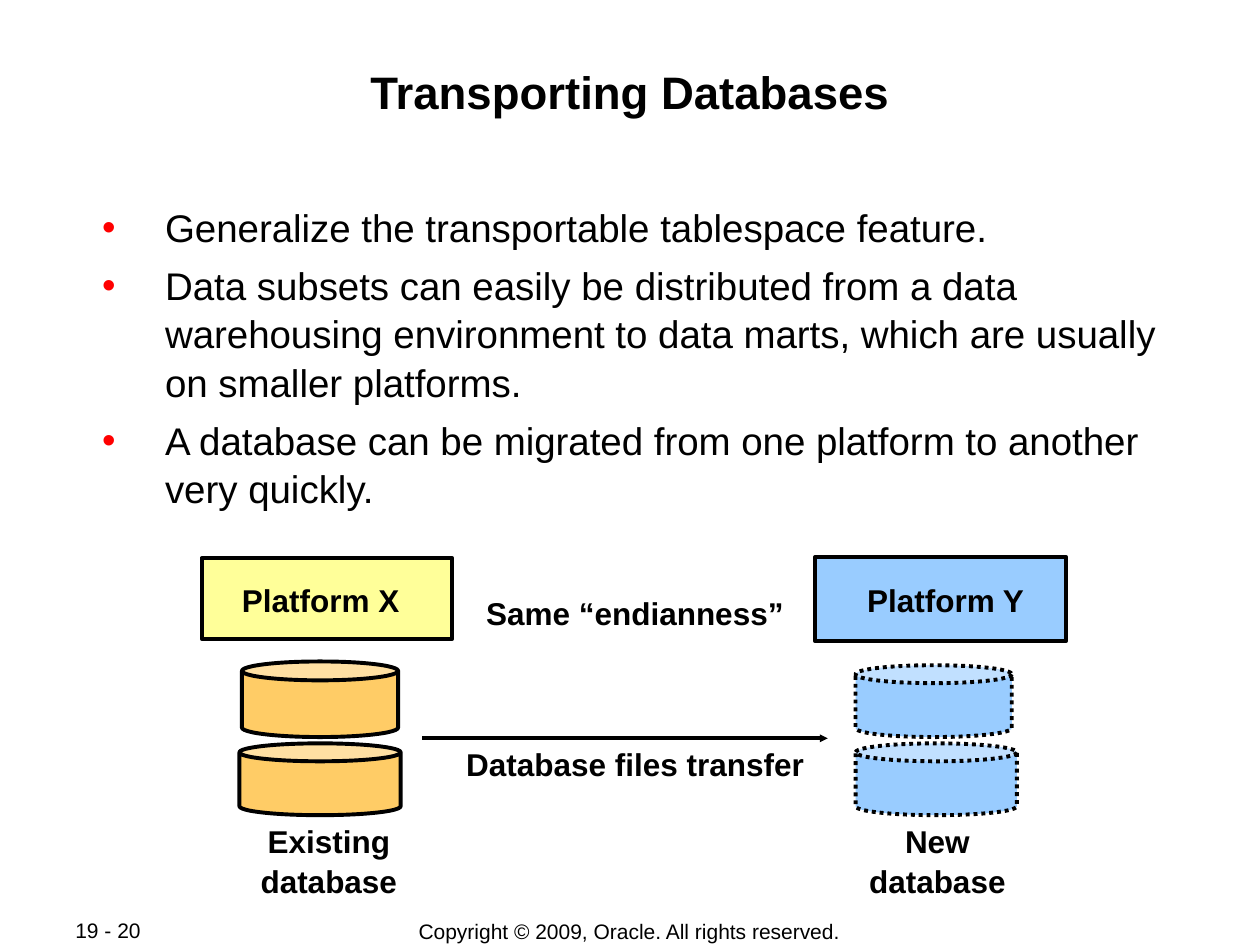
from typing import NamedTuple, Optional

from lxml.etree import SubElement
from pptx import Presentation
from pptx.dml.color import RGBColor
from pptx.enum.dml import MSO_LINE_DASH_STYLE as Dash
from pptx.enum.shapes import MSO_CONNECTOR as Connector, MSO_SHAPE as Preset
from pptx.enum.text import MSO_ANCHOR as Anchor, MSO_AUTO_SIZE as AutoSize, PP_ALIGN as Align
from pptx.oxml.ns import qn
from pptx.util import Inches, Pt

BLACK = RGBColor(0x00, 0x00, 0x00)
RED = RGBColor(0xFF, 0x00, 0x00)
YELLOW = RGBColor(0xFF, 0xFF, 0x99)
BLUE = RGBColor(0x99, 0xCC, 0xFF)
ORANGE = RGBColor(0xFF, 0xCC, 0x66)
FONT = "Arial"
LINE_WIDTH = Pt(2.25)
LINE_SPACING = 1.05


class Area(NamedTuple):
    left: float
    top: float
    width: float
    height: float


class Block(NamedTuple):
    preset: Preset
    area: Area
    fill: RGBColor
    dash: Optional[Dash] = None


class Label(NamedTuple):
    text: str
    area: Area
    size: int = 18
    bold: bool = True
    align: Align = Align.CENTER
    anchor: Anchor = Anchor.TOP


BULLETS = [
    "Generalize the transportable tablespace feature.",
    "Data subsets can easily be distributed from a data warehousing environment "
    "to data marts, which are usually on smaller platforms.",
    "A database can be migrated from one platform to another very quickly.",
]

BLOCKS = [
    Block(Preset.RECTANGLE, Area(1.6, 4.43, 1.99, 0.64), YELLOW),
    Block(Preset.RECTANGLE, Area(6.47, 4.42, 1.99, 0.67), BLUE),
    Block(Preset.CAN, Area(1.92, 5.25, 1.24, 0.6), ORANGE),
    Block(Preset.CAN, Area(1.9, 5.9, 1.28, 0.57), ORANGE),
    Block(Preset.CAN, Area(6.79, 5.28, 1.24, 0.57), BLUE, Dash.ROUND_DOT),
    Block(Preset.CAN, Area(6.79, 5.9, 1.28, 0.57), BLUE, Dash.ROUND_DOT),
]

LABELS = [
    Label("Platform X", Area(1.82, 4.55, 1.45, 0.4)),
    Label("Platform Y", Area(6.78, 4.55, 1.45, 0.4)),
    Label("Same “endianness”", Area(3.76, 4.65, 2.56, 0.4)),
    Label("Database files transfer", Area(3.6, 5.85, 2.88, 0.4)),
    Label("Existing database", Area(1.45, 6.46, 2.32, 0.4)),
    Label("New database", Area(6.51, 6.46, 1.86, 0.4)),
    Label("Copyright © 2009, Oracle. All rights reserved.",
          Area(2.75, 7.28, 4.49, 0.21), 12, False, anchor=Anchor.MIDDLE),
    Label("19 - 20", Area(0.5, 7.28, 1.06, 0.2), 12, False, Align.LEFT, Anchor.MIDDLE),
]


def inches(area: Area) -> list:
    return [Inches(value) for value in area]


def write(para, text: str, size: int, bold: bool, align: Align) -> None:
    para.alignment = align
    para.line_spacing = LINE_SPACING
    span = para.add_run()
    span.text = text
    span.font.name = FONT
    span.font.size = Pt(size)
    span.font.bold = bold
    span.font.color.rgb = BLACK


def prepare_placeholder(box, area: Area):
    """Move a placeholder, tighten its margins and return its text frame."""
    box.left, box.top, box.width, box.height = inches(area)
    frame = box.text_frame
    frame.auto_size = AutoSize.NONE
    frame.word_wrap = True
    frame.vertical_anchor = Anchor.TOP
    frame.margin_left = frame.margin_right = Inches(0.01)
    frame.margin_top = frame.margin_bottom = Inches(0.01)
    return frame


def add_bullet(para) -> None:
    properties = para._p.get_or_add_pPr()
    properties.set("marL", str(Inches(0.63)))
    properties.set("indent", str(Inches(-0.5)))
    color = SubElement(properties, qn("a:buClr"))
    SubElement(color, qn("a:srgbClr")).set("val", str(RED))
    SubElement(properties, qn("a:buFont")).set("typeface", FONT)
    SubElement(properties, qn("a:buChar")).set("char", "•")


def fill_body(box) -> None:
    frame = prepare_placeholder(box, Area(0.67, 1.59, 8.66, 2.38))
    for index, text in enumerate(BULLETS):
        para = frame.add_paragraph() if index else frame.paragraphs[0]
        para.level = 1
        add_bullet(para)
        para.space_before = Pt(5.5 if index else 0)
        write(para, text, 22, False, Align.LEFT)


def draw_block(page, block: Block) -> None:
    shape = page.shapes.add_shape(block.preset, *inches(block.area))
    shape.shadow.inherit = False
    shape.fill.solid()
    shape.fill.fore_color.rgb = block.fill
    shape.line.color.rgb = BLACK
    shape.line.width = LINE_WIDTH
    if block.dash is not None:
        shape.line.dash_style = block.dash


def draw_label(page, label: Label) -> None:
    frame = page.shapes.add_textbox(*inches(label.area)).text_frame
    frame.word_wrap = False
    frame.vertical_anchor = label.anchor
    write(frame.paragraphs[0], label.text, label.size, label.bold, label.align)


def draw_transfer_arrow(page) -> None:
    height = Inches(5.86)
    arrow = page.shapes.add_connector(
        Connector.STRAIGHT, Inches(3.35), height, Inches(6.57), height)
    arrow.line.color.rgb = BLACK
    arrow.line.width = LINE_WIDTH
    head = SubElement(arrow.line._get_or_add_ln(), qn("a:tailEnd"))
    for key, value in (("type", "triangle"), ("w", "sm"), ("len", "sm")):
        head.set(key, value)
    SubElement(arrow._element.spPr, qn("a:effectLst"))


def main() -> None:
    deck = Presentation()
    deck.slide_width, deck.slide_height = Inches(10), Inches(7.5)
    page = deck.slides.add_slide(deck.slide_layouts[1])

    title = prepare_placeholder(page.shapes.title, Area(0.67, 0.48, 8.66, 0.96))
    write(title.paragraphs[0], "Transporting Databases", 26, True, Align.CENTER)
    fill_body(page.placeholders[1])

    for block in BLOCKS:
        draw_block(page, block)
    draw_transfer_arrow(page)
    for label in LABELS:
        draw_label(page, label)
    deck.save("out.pptx")


if __name__ == "__main__":
    main()
